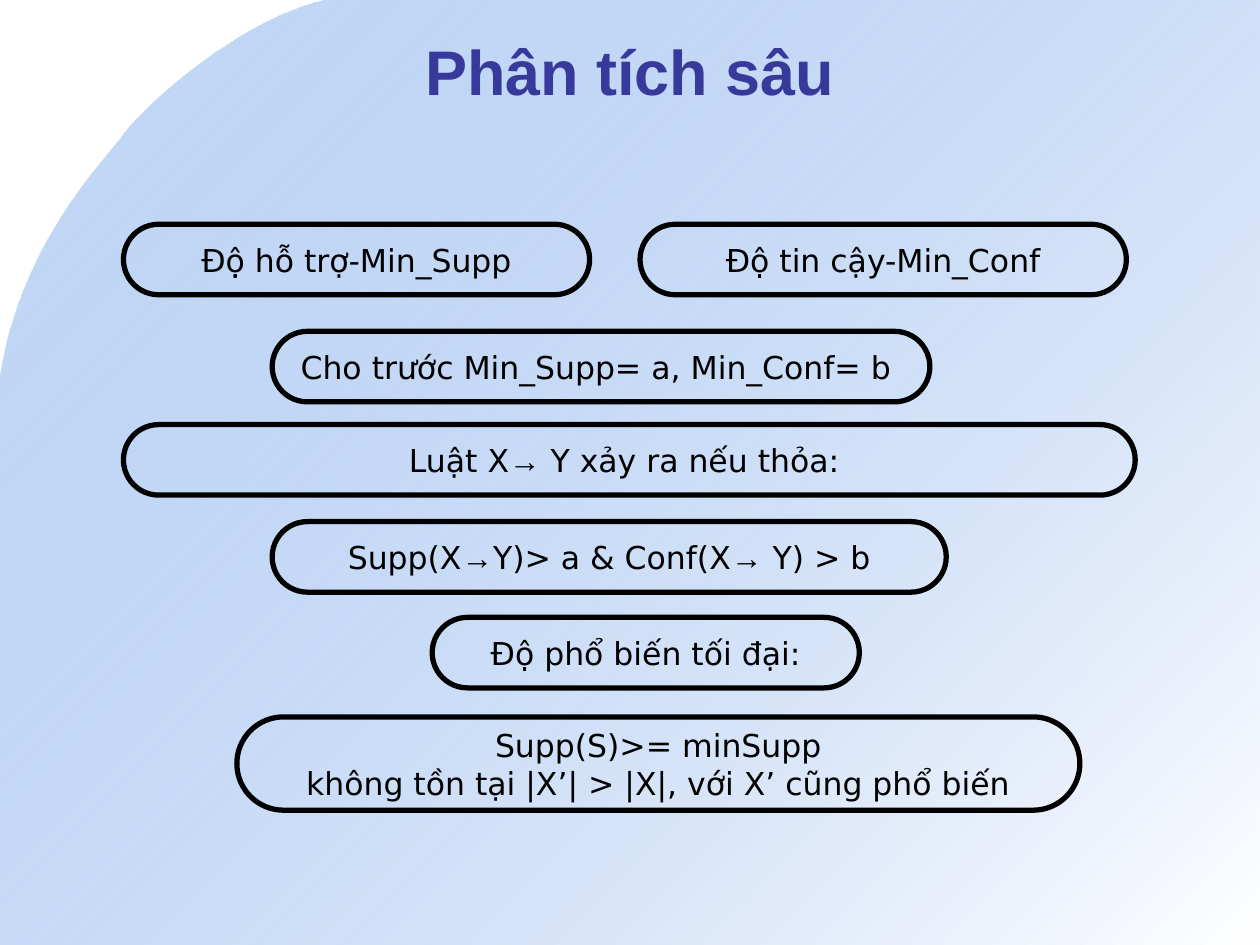
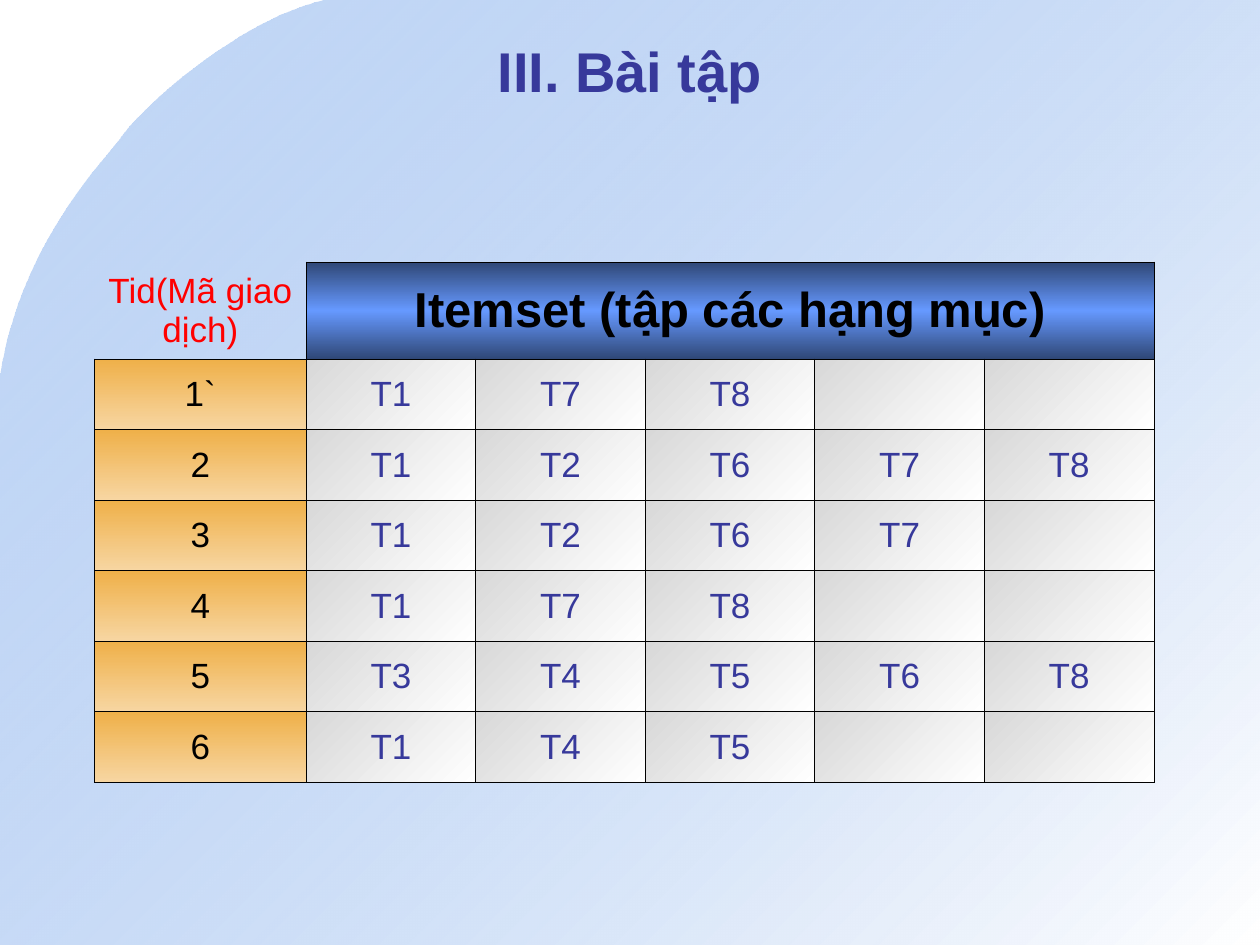
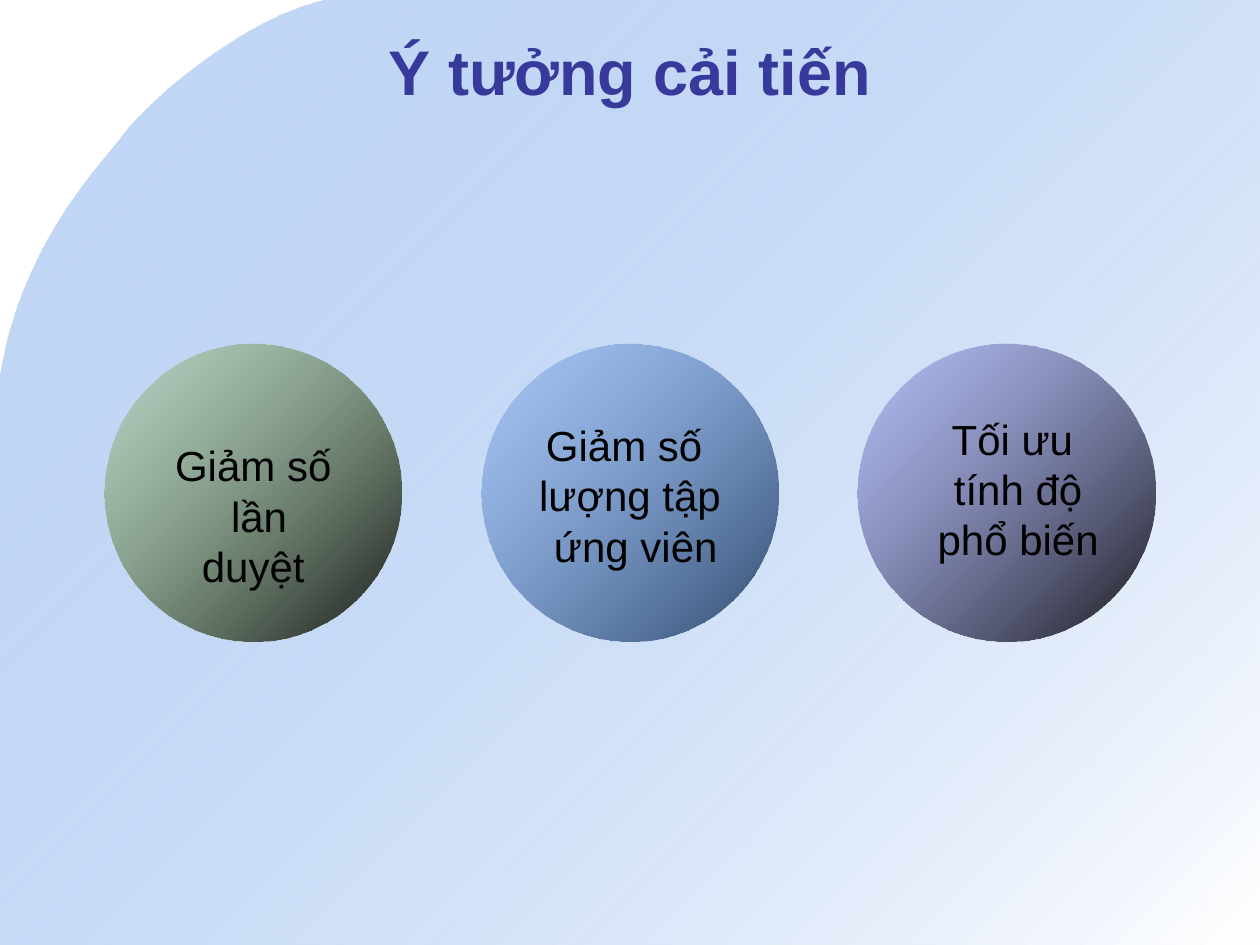
from lxml import etree
from pptx import Presentation
from pptx.dml.color import RGBColor
from pptx.enum.shapes import MSO_SHAPE as Preset
from pptx.enum.text import MSO_ANCHOR as Anchor, MSO_AUTO_SIZE as AutoSize, PP_ALIGN as Align
from pptx.oxml.ns import qn
from pptx.util import Inches, Pt

INDIGO, BLACK, RED = "37399B", "000000", "FF0000"
SKY = [(0, "699DE9", 39), (100, "FFFFFF", 100)]
HEADER = [(0, "2F4776", 100), (50, "6699FF", 100), (100, "2F4776", 100)]
AMBER = [(0, "EFB049", 100), (100, "F7D6A2", 100)]
SILVER = [(0, "D8D8D8", 100), (100, "FFFFFF", 100)]

PILLS = [
    (0.98, 1.78, 3.7, 0.56, ["Độ hỗ trợ-Min_Supp"]),
    (5.08, 1.78, 3.86, 0.56, ["Độ tin cậy-Min_Conf"]),
    (2.16, 2.63, 5.22, 0.56, ["Cho trước Min_Supp= a, Min_Conf= b "]),
    (0.98, 3.37, 8.03, 0.56, ["Luật X→ Y xảy ra nếu thỏa: "]),
    (2.16, 4.14, 5.35, 0.56, ["Supp(X→Y)> a & Conf(X→ Y) > b"]),
    (3.43, 4.9, 3.39, 0.56, ["Độ phổ biến tối đại:"]),
    (1.88, 5.69, 6.69, 0.74,
     ["Supp(S)>= minSupp", "không tồn tại |X’| > |X|, với X’ cũng phổ biến"]),
]
TRANSACTIONS = [
    ("1`", "T1", "T7", "T8"),
    ("2", "T1", "T2", "T6", "T7", "T8"),
    ("3", "T1", "T2", "T6", "T7"),
    ("4", "T1", "T7", "T8"),
    ("5", "T3", "T4", "T5", "T6", "T8"),
    ("6", "T1", "T4", "T5"),
]
IDEAS = [
    ([(0, "9AC664", 32), (100, BLACK, 90)], (0.36, 0.71, 1.64, 0.9),
     ["Giảm số", " lần duyệt"]),
    ([(0, "699DE9", 32), (100, "31496C", 100)], (0.36, 0.55, 1.64, 1.3),
     ["Giảm số ", "lượng tập", " ứng viên"]),
    ([(0, "7476DC", 32), (100, BLACK, 90)], (0.44, 0.5, 1.57, 1.3),
     ["Tối ưu", " tính độ", " phổ biến"]),
]


def color(value):
    """Turn a hex string into a colour."""
    return RGBColor.from_string(value)


def inches(*lengths):
    """Convert several lengths to inches."""
    return [Inches(length) for length in lengths]


def add_color(parent, value, opacity=100):
    """Append a colour element with its opacity in percent."""
    node = etree.SubElement(parent, qn("a:srgbClr"), val=value)
    if opacity < 100:
        etree.SubElement(node, qn("a:alpha"), val=str(opacity * 1000))


def fill_gradient(fill, properties, stops, angle):
    """Give a shape or cell a linear gradient of (position, colour, opacity) stops."""
    fill.background()
    gradient = etree.Element(qn("a:gradFill"), rotWithShape="1")
    stop_list = etree.SubElement(gradient, qn("a:gsLst"))
    for position, value, opacity in stops:
        stop = etree.SubElement(stop_list, qn("a:gs"), pos=str(position * 1000))
        add_color(stop, value, opacity)
    etree.SubElement(gradient, qn("a:lin"), ang=str(angle * 60000), scaled="0")
    properties.replace(properties.find(qn("a:noFill")), gradient)


def write(frame, lines, size, value, font="Arial", bold=False):
    """Write centred lines, with arrows always in Arial."""
    for index, line in enumerate(lines):
        para = frame.paragraphs[0] if index == 0 else frame.add_paragraph()
        para.alignment = Align.CENTER
        for part in line.replace("→", "|→|").split("|") if "→" in line else [line]:
            span = para.add_run()
            span.text = part
            span.font.name = "Arial" if part == "→" else font
            span.font.size = Pt(size)
            span.font.bold = bold
            span.font.color.rgb = color(value)


def curve(start, first, second, end, steps=24):
    """Return points along a cubic curve, without its start."""
    points = []
    for step in range(1, steps + 1):
        t = step / steps
        weights = ((1 - t) ** 3, 3 * t * (1 - t) ** 2, 3 * t * t * (1 - t), t ** 3)
        points.append(tuple(
            sum(weight * value for weight, value in zip(weights, axis))
            for axis in zip(start, first, second, end)))
    return points


def add_backdrop(page):
    """Draw the curved sky panel and hand it to the shared layout."""
    start, joint = (2.58, 0), (0.98, 1.07)
    points = curve(start, (1.9, 0.16), (1.16, 0.83), joint)
    points += curve(joint, (0.8, 1.32), (0.16, 1.94), (0, 3.01))
    points += [(0, 7.5), (10, 7.5), (10, 0)]
    builder = page.shapes.build_freeform(*inches(*start))
    builder.add_line_segments([inches(*point) for point in points], close=True)
    panel = builder.convert_to_shape()
    panel.shadow.inherit = False
    panel.line.fill.background()
    fill_gradient(panel.fill, panel.element.spPr, SKY, 45)
    page.slide_layout.shapes.element.insert(2, panel.element)


def add_page(deck, heading, size):
    """Add a title-only slide with its formatted heading."""
    page = deck.slides.add_slide(deck.slide_layouts[5])
    title = page.shapes.title
    title.left, title.top, title.width, title.height = inches(0.5, 0.25, 9, 0.62)
    frame = title.text_frame
    frame.auto_size = AutoSize.NONE
    frame.vertical_anchor = Anchor.MIDDLE
    write(frame, [heading], size, INDIGO, bold=True)
    return page


def add_pill(page, left, top, width, height, lines):
    """Add an outlined pill with centred text."""
    pill = page.shapes.add_shape(Preset.ROUNDED_RECTANGLE, *inches(left, top, width, height))
    pill.adjustments[0] = 0.5
    pill.shadow.inherit = False
    pill.fill.background()
    pill.line.color.rgb = color(BLACK)
    pill.line.width = Pt(3)
    frame = pill.text_frame
    frame.word_wrap = False
    frame.vertical_anchor = Anchor.MIDDLE
    write(frame, lines, 18, BLACK, "DejaVu Sans")


def set_borders(cell, bare_sides=()):
    """Draw thin black cell borders, leaving the bare sides empty."""
    properties = cell._tc.get_or_add_tcPr()
    for index, side in enumerate("LRTB"):
        border = etree.Element(qn(f"a:ln{side}"), w=str(Pt(0.45)))
        if side in bare_sides:
            etree.SubElement(border, qn("a:noFill"))
        else:
            add_color(etree.SubElement(border, qn("a:solidFill")), BLACK)
        properties.insert(index, border)


def style_cell(cell, text, value, stops=None, angle=90, size=20, bold=False, bare_sides=()):
    """Fill, border and label one table cell."""
    cell.vertical_anchor = Anchor.MIDDLE
    if stops:
        fill_gradient(cell.fill, cell._tc.get_or_add_tcPr(), stops, angle)
    else:
        cell.fill.background()
    set_borders(cell, bare_sides)
    if text:
        write(cell.text_frame, [text], size, value, bold=bold)


def add_transactions(page, left, top, width, height):
    """Add the table of transactions and their items."""
    rows, columns = len(TRANSACTIONS) + 1, 6
    table = page.shapes.add_table(rows, columns, *inches(left, top, width, height)).table
    table.first_row = table.horz_banding = False
    id_width, header_height = 1.68, 0.77
    for index, column in enumerate(table.columns):
        column.width = Inches((width - id_width) / (columns - 1) if index else id_width)
    for index, row in enumerate(table.rows):
        row.height = Inches((height - header_height) / (rows - 1) if index else header_height)

    style_cell(table.cell(0, 0), "Tid(Mã giao dịch)", RED, bare_sides="LT")
    table.cell(0, 1).merge(table.cell(0, columns - 1))
    for index in range(1, columns):
        label = "Itemset (tập các hạng mục)" if index == 1 else ""
        style_cell(table.cell(0, index), label, BLACK, HEADER, size=28, bold=True)
    for row, (number, *items) in enumerate(TRANSACTIONS, 1):
        style_cell(table.cell(row, 0), number, BLACK, AMBER)
        for index in range(1, columns):
            item = items[index - 1] if index <= len(items) else ""
            style_cell(table.cell(row, index), item, INDIGO, SILVER, angle=45)


def add_idea(page, left, top, diameter, stops, caption, lines):
    """Add a shaded ball with its caption placed inside."""
    ball = page.shapes.add_shape(Preset.OVAL, *inches(left, top, diameter, diameter))
    ball.shadow.inherit = False
    ball.line.fill.background()
    fill_gradient(ball.fill, ball.element.spPr, stops, 45)
    across, down, width, height = caption
    box = page.shapes.add_textbox(*inches(left + across, top + down, width, height))
    box.text_frame.word_wrap = False
    box.text_frame.auto_size = AutoSize.SHAPE_TO_FIT_TEXT
    write(box.text_frame, lines, 24, BLACK)


def main():
    """Build the three slides."""
    deck = Presentation()
    deck.slide_width, deck.slide_height = inches(10, 7.5)

    analysis = add_page(deck, "Phân tích sâu", 36)
    add_backdrop(analysis)
    for pill in PILLS:
        add_pill(analysis, *pill)

    exercise = add_page(deck, "III. Bài tập", 32)
    add_transactions(exercise, 0.75, 2.08, 8.41, 4.13)

    improvement = add_page(deck, "Ý tưởng cải tiến", 36)
    for index, idea in enumerate(IDEAS):
        add_idea(improvement, 0.83 + 2.99 * index, 2.73, 2.36, *idea)

    deck.save("out.pptx")


if __name__ == "__main__":
    main()
